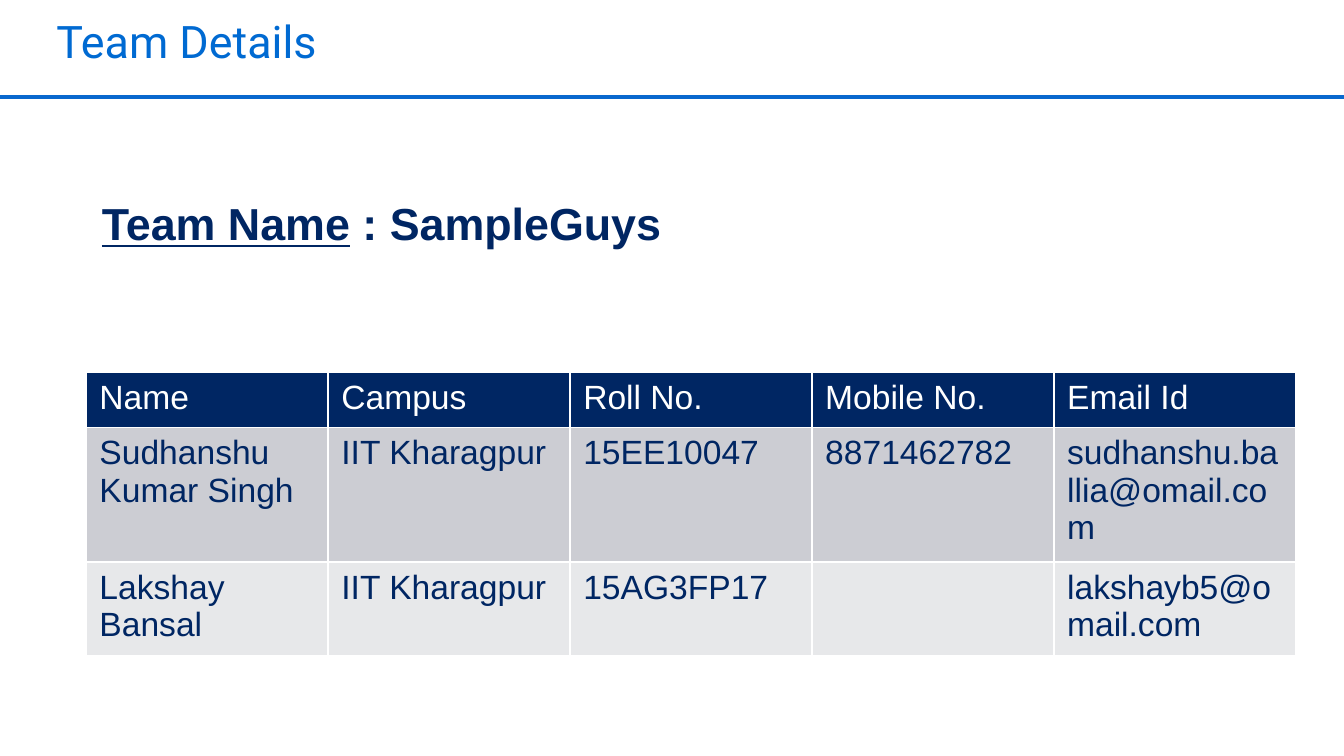
from lxml.etree import SubElement
from pptx import Presentation
from pptx.dml.color import RGBColor
from pptx.enum.shapes import MSO_CONNECTOR
from pptx.oxml import parse_xml
from pptx.oxml.ns import nsdecls, qn
from pptx.util import Inches, Pt

COLORS = {
    "title": "006AD2",
    "rule": "0968CE",
    "navy": "002663",
    "white": "FFFFFF",
    "odd_row": "CCCDD3",
    "even_row": "E7E8EA",
}
MEMBERS = [
    ["Name", "Campus", "Roll No.", "Mobile No.", "Email Id"],
    ["Sudhanshu Kumar Singh", "IIT Kharagpur", "15EE10047", "8871462782",
     "sudhanshu.ballia@omail.com"],
    ["Lakshay Bansal", "IIT Kharagpur", "15AG3FP17", "", "lakshayb5@omail.com"],
]


class TeamSlide:
    """Draws styled elements on a slide, placed on a grid of 0.1 inch columns and rows."""

    def __init__(self, slide, cell=0.1):
        self.slide = slide
        self.cell = cell

    def grid(self, *lengths):
        return [Inches(length * self.cell) for length in lengths]

    def color(self, name):
        return RGBColor.from_string(COLORS[name])

    def style(self, run, size, color, font="Arial", bold=False, underline=False):
        run.font.size = Pt(size)
        run.font.name = font
        run.font.bold = bold
        run.font.underline = underline
        run.font.color.rgb = self.color(color)

    def text(self, place, parts, inset=None, spacing=None):
        frame = self.slide.shapes.add_textbox(*self.grid(*place)).text_frame
        frame.word_wrap = True
        if inset is not None:
            frame.margin_left = frame.margin_right = Inches(inset)
            frame.margin_top = frame.margin_bottom = Inches(inset)
        paragraph = frame.paragraphs[0]
        paragraph.line_spacing = spacing
        for words, look in parts:
            run = paragraph.add_run()
            run.text = words
            self.style(run, **look)

    def rule(self, start, end, color, width):
        line = self.slide.shapes.add_connector(
            MSO_CONNECTOR.STRAIGHT, *self.grid(*start, *end))
        line.line.color.rgb = self.color(color)
        line.line.width = Pt(width)
        SubElement(line._element.spPr, qn("a:effectLst"))

    def borders(self, cell, color, width):
        properties = cell._tc.get_or_add_tcPr()
        for position, side in enumerate("LRTB"):
            properties.insert(position, parse_xml(
                f'<a:ln{side} {nsdecls("a")} w="{Pt(width)}"><a:solidFill>'
                f'<a:srgbClr val="{COLORS[color]}"/></a:solidFill></a:ln{side}>'))

    def table(self, place, rows, row_height):
        left, top, width, height = self.grid(*place)
        roster = self.slide.shapes.add_table(
            len(rows), len(rows[0]), left, top, width, height)
        fills = ["navy", "odd_row", "even_row"]
        for row, values, fill in zip(roster.table.rows, rows, fills):
            row.height = self.grid(row_height)[0]
            for cell, value in zip(row.cells, values):
                cell.text_frame.text = value
                cell.fill.solid()
                cell.fill.fore_color.rgb = self.color(fill)
                self.borders(cell, "white", 1)
                for run in cell.text_frame.paragraphs[0].runs:
                    self.style(run, 18, "white" if fill == "navy" else "navy")
        roster.height = height


def main():
    deck = Presentation()
    deck.slide_width = Inches(10)
    deck.slide_height = deck.slide_width * 9 // 16
    team = TeamSlide(deck.slides.add_slide(deck.slide_layouts[6]))
    heading = {"size": 24, "color": "navy", "bold": True}

    team.text((4.2, 1.7, 90, 8.2),
              [("Team Details", {"size": 24, "color": "title", "font": "Roboto"})],
              inset=0, spacing=0.82)
    team.rule((0, 7.2), (100, 7.2), "rule", 2)
    team.table((6.4, 27.7, 90, 21.1), MEMBERS, 4.1)
    team.text((6.6, 14.1, 52.3, 5),
              [("Team Name", {**heading, "underline": True}),
               (" : SampleGuys", heading)])
    deck.save("out.pptx")


if __name__ == "__main__":
    main()
